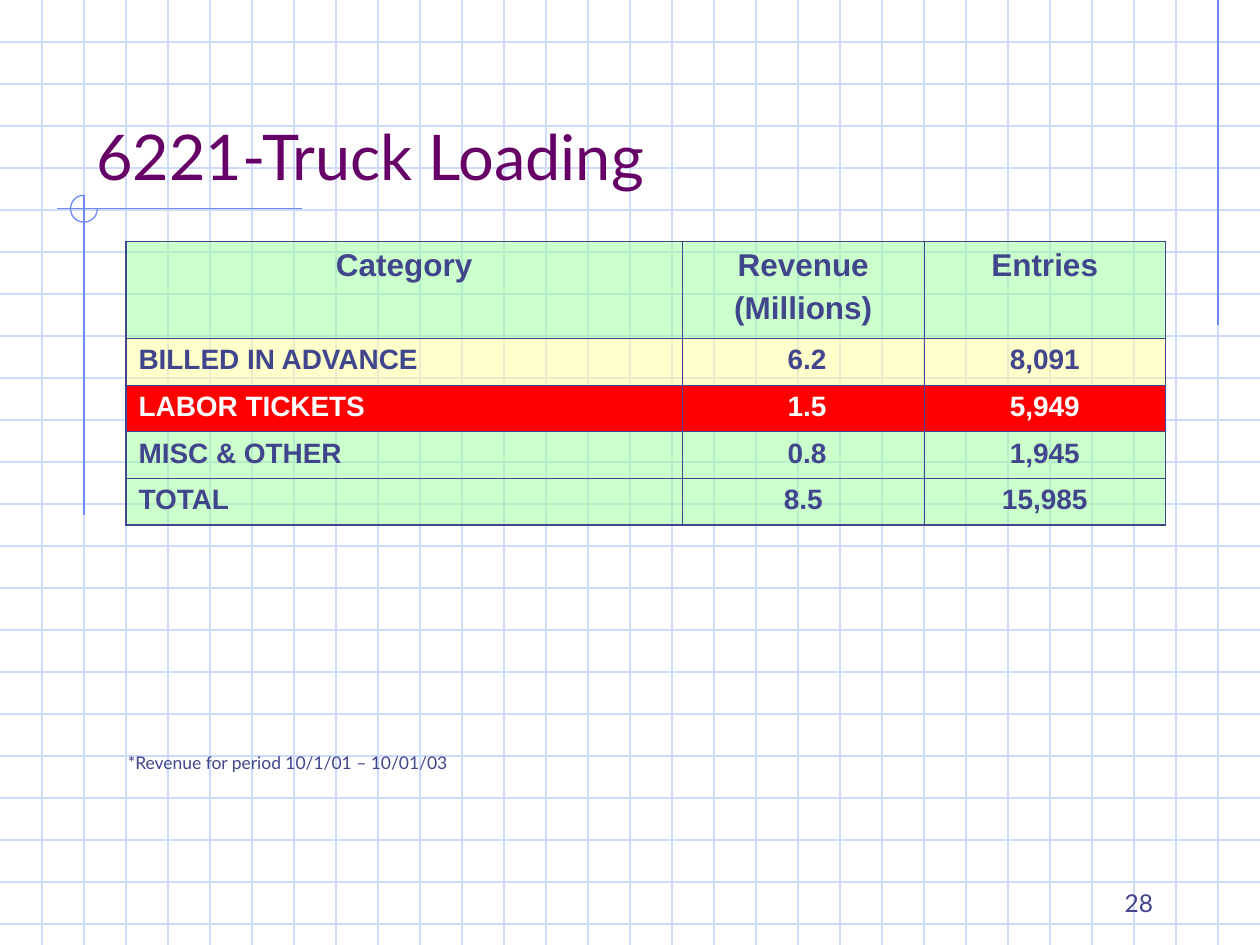
from lxml.etree import SubElement
from pptx import Presentation
from pptx.dml.color import RGBColor as RGB
from pptx.enum.shapes import MSO_CONNECTOR as CONN, MSO_SHAPE as SHAPE
from pptx.enum.text import MSO_ANCHOR as ANCHOR, PP_ALIGN as ALIGN
from pptx.oxml.ns import qn
from pptx.util import Inches, Pt

COLORS = {
    "grid": "CFDBFD", "accent": "6F89F7", "title": "660066", "ink": "40458C",
    "white": "FFFFFF", "green": "99FF99", "yellow": "FFFF99", "red": "FF0000",
}
COLS, ROWS = 30, 22.5
THICK, THIN = 1.08, 0.45
TABLE_COLS = (13.25, 5.75, 5.75)
HEAD_ROW, BODY_ROW = 2.31, 1.11
TABLE_ROWS = (
    (("Category", "Revenue\n(Millions)", "Entries"), "green", "ink"),
    (("BILLED IN ADVANCE", " 6.2", "8,091"), "yellow", "ink"),
    (("LABOR TICKETS", " 1.5", "5,949"), "red", "white"),
    (("MISC & OTHER", " 0.8", "1,945"), "green", "ink"),
    (("TOTAL", "8.5", "15,985"), "green", "ink"),
)


def unit(n):
    """Return the length of n grid squares."""
    return Inches(n / 3)


def rgb(name):
    """Look up a named colour."""
    return RGB.from_string(COLORS[name])


def write(tf, text, size=10, color="ink", font="Lato", bold=False,
          align=ALIGN.LEFT, before=0, anchor=None):
    """Fill a text frame, one paragraph for each line of text."""
    tf.word_wrap = True
    if anchor is not None:
        tf.vertical_anchor = anchor
    for i, line in enumerate(text.split("\n")):
        p = tf.add_paragraph() if i else tf.paragraphs[0]
        p.alignment, p.space_before = align, Pt(before)
        r = p.add_run()
        r.text = line
        r.font.name, r.font.size, r.font.bold = font, Pt(size), bold
        r.font.color.rgb = rgb(color)


def add_text(slide, box, text, **fmt):
    """Add a text box in the given grid box."""
    sp = slide.shapes.add_textbox(*map(unit, box))
    write(sp.text_frame, text, **fmt)


def add_line(slide, x1, y1, x2, y2, color):
    """Draw a thin straight line between two grid points."""
    cx = slide.shapes.add_connector(CONN.STRAIGHT, *map(unit, (x1, y1, x2, y2)))
    cx.line.color.rgb, cx.line.width = rgb(color), Pt(0.75)
    SubElement(cx._element.spPr, qn("a:effectLst"))


def add_grid(slide, cols, rows):
    """Rule the slide into squares."""
    for y in range(1, int(rows) + 1):
        add_line(slide, 0, y, cols, y, "grid")
    for x in range(1, cols):
        add_line(slide, x, 0, x, rows, "grid")


def add_crosshair(slide, x, y, radius):
    """Draw the crossed lines and open circle around a grid point."""
    add_line(slide, x + 5.2, y, x - 0.65, y, "accent")
    add_line(slide, x, y - radius, x, y + 7.3, "accent")
    sp = slide.shapes.add_shape(
        SHAPE.ARC, *map(unit, (x - radius, y - radius, 2 * radius, 2 * radius)))
    sp.adjustments[0], sp.adjustments[1] = 0, 162
    sp.shadow.inherit = False
    sp.fill.background()
    sp.line.color.rgb, sp.line.width = rgb("accent"), Pt(0.75)


def style_cell(cell, fill, widths):
    """Fill a cell and draw its borders, given widths by side."""
    cell.fill.solid()
    cell.fill.fore_color.rgb = rgb(fill)
    tcPr = cell._tc.get_or_add_tcPr()
    if fill != "red":
        SubElement(tcPr.find(".//" + qn("a:srgbClr")), qn("a:alpha"), val="50000")
    for i, (side, width) in enumerate(widths.items()):
        ln = SubElement(tcPr, qn("a:ln" + side), w=str(Pt(width)))
        SubElement(SubElement(ln, qn("a:solidFill")), qn("a:srgbClr"),
                   val=COLORS["ink"])
        tcPr.insert(i, ln)


def add_revenue_table(slide, x, y):
    """Place the revenue table with its top left at a grid point."""
    last_row, last_col = len(TABLE_ROWS) - 1, len(TABLE_COLS) - 1
    height = HEAD_ROW + last_row * BODY_ROW
    table = slide.shapes.add_table(
        last_row + 1, last_col + 1,
        *map(unit, (x, y, sum(TABLE_COLS), height))).table
    table.first_row = table.horz_banding = False
    for col, width in zip(table.columns, TABLE_COLS):
        col.width = unit(width)
    for i, (values, fill, color) in enumerate(TABLE_ROWS):
        table.rows[i].height = unit(BODY_ROW if i else HEAD_ROW)
        for j, value in enumerate(values):
            cell = table.cell(i, j)
            write(cell.text_frame, value, size=16 if i else 18, color=color,
                  font="Arial", bold=True, before=4 if i else 4.5,
                  align=ALIGN.LEFT if i and not j else ALIGN.CENTER)
            edges = {"L": j == 0, "R": j == last_col,
                     "T": i == 0, "B": i == last_row}
            style_cell(cell, fill, {side: THICK if outer else THIN
                                    for side, outer in edges.items()})


def main():
    """Build and save the slide."""
    prs = Presentation()
    prs.slide_width, prs.slide_height = unit(COLS), unit(ROWS)
    slide = prs.slides.add_slide(prs.slide_layouts[6])
    add_grid(slide, COLS, ROWS)
    add_line(slide, 29, 0, 29, 7.75, "accent")
    add_crosshair(slide, 2, 4.97, 0.32)
    add_text(slide, (2, 1, 25.5, 3.75), "6221-Truck Loading",
             size=36, color="title", anchor=ANCHOR.BOTTOM)
    add_revenue_table(slide, 3, 5.75)
    add_text(slide, (2.75, 17.75, 24.5, 0.8),
             "*Revenue for period 10/1/01 – 10/01/03", before=6.2)
    add_text(slide, (21.5, 20.5, 6.25, 1.5), "28", size=14,
             align=ALIGN.RIGHT, anchor=ANCHOR.BOTTOM)
    prs.save("out.pptx")


if __name__ == "__main__":
    main()
